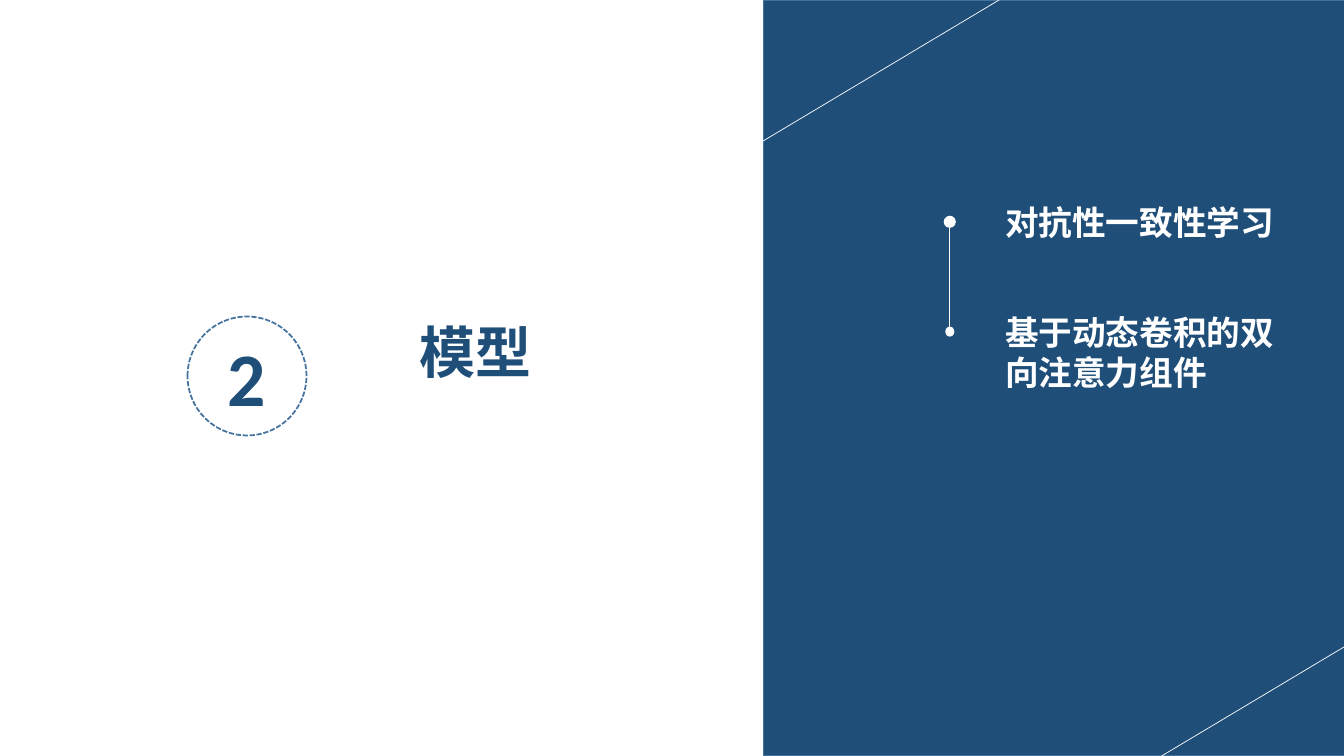
from lxml import etree
from pptx import Presentation
from pptx.dml.color import RGBColor
from pptx.enum.dml import MSO_LINE
from pptx.enum.shapes import MSO_CONNECTOR, MSO_SHAPE
from pptx.enum.text import MSO_ANCHOR, MSO_AUTO_SIZE, PP_ALIGN
from pptx.oxml.ns import qn
from pptx.util import Inches, Pt

# Content
SECTION_NUMBER = "2"
SECTION_TITLE = "模型"
# topic, text box (left, top, width, height), dot size (width, height)
TOPICS = [
    ("对抗性一致性学习", (9.87, 1.95, 2.97, 0.5), (0.12, 0.12)),
    ("基于动态卷积的双向注意力组件", (9.87, 3.04, 2.91, 0.91), (0.09, 0.1)),
]

# Style
NAVY = RGBColor(0x1F, 0x4E, 0x79)
EDGE_BLUE = RGBColor(0x43, 0x73, 0x9E)
WHITE = RGBColor(0xFF, 0xFF, 0xFF)
LATIN_FONT, CHINESE_FONT = "Calibri", "Noto Sans CJK SC"
OVAL, RECTANGLE = MSO_SHAPE.OVAL, MSO_SHAPE.RECTANGLE
STRAIGHT = MSO_CONNECTOR.STRAIGHT
LEFT, CENTER = PP_ALIGN.LEFT, PP_ALIGN.CENTER
TOP, MIDDLE = MSO_ANCHOR.TOP, MSO_ANCHOR.MIDDLE
FIT_SHAPE, NO_FIT = MSO_AUTO_SIZE.SHAPE_TO_FIT_TEXT, MSO_AUTO_SIZE.NONE
DASHED = MSO_LINE.SQUARE_DOT

# Layout
SLIDE_WIDTH, SLIDE_HEIGHT = 13.33, 7.5
PANEL_LEFT, PANEL_WIDTH = 7.57, 5.79
TIMELINE_X = 9.42
FIRST_DOT_Y, DOT_STEP = 2.2, 1.09
STRIPE_RUN, STRIPE_RISE = 2.91, 1.74
STRIPE_STARTS = [(10.36, -0.27), (13.98, 6.03)]


def write(holder, text, size, color, font=CHINESE_FONT, align=LEFT,
          anchor=TOP, fit=FIT_SHAPE):
    frame = holder.text_frame
    frame.word_wrap = True
    frame.auto_size = fit
    frame.vertical_anchor = anchor
    paragraph = frame.paragraphs[0]
    paragraph.alignment = align
    paragraph.line_spacing = 1.0
    run = paragraph.add_run()
    run.text = text
    run.font.size = Pt(size)
    run.font.bold = True
    run.font.color.rgb = color
    run.font.name = font
    east_asian = etree.Element(qn("a:ea"), typeface=font)
    run.font._element.find(qn("a:latin")).addnext(east_asian)


def draw_shape(kind, box, fill, line=None, line_width=1):
    shape = slide.shapes.add_shape(kind, *map(Inches, box))
    shape.shadow.inherit = False
    shape.fill.solid()
    shape.fill.fore_color.rgb = fill
    if line is None:
        shape.line.fill.background()
    else:
        shape.line.color.rgb = line
        shape.line.width = Pt(line_width)
    return shape


def draw_line(start, end, width):
    connector = slide.shapes.add_connector(STRAIGHT, *map(Inches, start + end))
    connector.line.color.rgb = WHITE
    connector.line.width = Pt(width)
    etree.SubElement(connector._element.spPr, qn("a:effectLst"))


presentation = Presentation()
presentation.slide_width = Inches(SLIDE_WIDTH)
presentation.slide_height = Inches(SLIDE_HEIGHT)
slide = presentation.slides.add_slide(presentation.slide_layouts[5])
slide.background.fill.solid()
slide.background.fill.fore_color.rgb = WHITE

# Section title and number
title = slide.shapes.title
title.left, title.top, title.width, title.height = map(
    Inches, (3.15, 3.1, 3.13, 0.77))
write(title, SECTION_TITLE, 40, NAVY, align=CENTER)

number_ring = draw_shape(OVAL, (1.86, 3.14, 1.18, 1.18), WHITE, EDGE_BLUE, 1.25)
number_ring.line.dash_style = DASHED
write(number_ring, SECTION_NUMBER, 54, NAVY, font=LATIN_FONT, align=CENTER,
      anchor=MIDDLE, fit=NO_FIT)

# Panel with its diagonal stripes
draw_shape(RECTANGLE, (PANEL_LEFT, 0, PANEL_WIDTH, SLIDE_HEIGHT), NAVY, EDGE_BLUE)
for x, y in STRIPE_STARTS:
    draw_line((x, y), (x - STRIPE_RUN, y + STRIPE_RISE), 0.5)

# Timeline of topics
draw_line((TIMELINE_X, 2.26), (TIMELINE_X, 3.25), 1)
for index, (topic, topic_box, (dot_width, dot_height)) in enumerate(TOPICS):
    dot_y = FIRST_DOT_Y + index * DOT_STEP
    draw_shape(OVAL, (TIMELINE_X - dot_width / 2, dot_y - dot_height / 2,
                      dot_width, dot_height), WHITE)
    topic_label = slide.shapes.add_textbox(*map(Inches, topic_box))
    write(topic_label, topic, 24, WHITE)

presentation.save("out.pptx")
